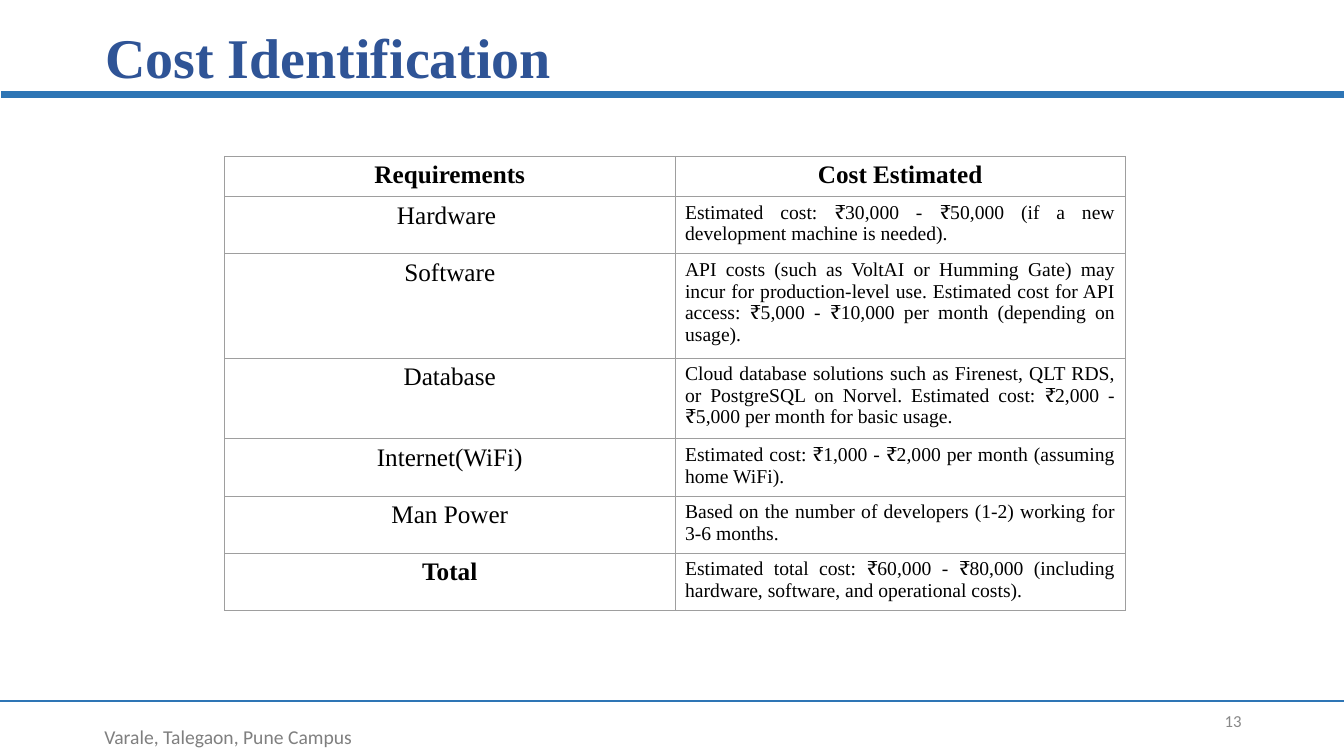
from lxml.etree import SubElement
from pptx import Presentation
from pptx.dml.color import RGBColor
from pptx.enum.shapes import MSO_CONNECTOR
from pptx.enum.text import MSO_ANCHOR, PP_ALIGN
from pptx.oxml.ns import qn
from pptx.util import Cm, Pt

TITLE_BLUE = RGBColor(0x2F, 0x54, 0x96)
RULE_BLUE = RGBColor(0x2E, 0x75, 0xB5)
FOOTER_GREY = RGBColor(0x7F, 0x7F, 0x7F)
NUMBER_GREY = RGBColor(0x88, 0x88, 0x88)
BORDER_GREY = RGBColor(0x9E, 0x9E, 0x9E)
BLACK = RGBColor(0, 0, 0)

SLIDE_WIDTH, SLIDE_HEIGHT = 33.87, 19.05
SERIF, SANS = "Times New Roman", "Calibri"

COSTS = [
    ("Requirements", "Cost Estimated"),
    ("Hardware ", "Estimated cost: ₹30,000 - ₹50,000 (if a new development machine is needed)."),
    ("Software", "API costs (such as VoltAI or Humming Gate) may incur for production-level use. "
                 "Estimated cost for API access: ₹5,000 - ₹10,000 per month (depending on usage)."),
    ("Database", "Cloud database solutions such as Firenest, QLT RDS, or PostgreSQL on Norvel. "
                 "Estimated cost: ₹2,000 - ₹5,000 per month for basic usage."),
    ("Internet(WiFi)", "Estimated cost: ₹1,000 - ₹2,000 per month (assuming home WiFi)."),
    ("Man Power", "Based on the number of developers (1-2) working for 3-6 months."),
    ("Total", "Estimated total cost: ₹60,000 - ₹80,000 "
              "(including hardware, software, and operational costs)."),
]


def write(text_frame, text, size, color=BLACK, font=SERIF, bold=False,
          align=PP_ALIGN.LEFT, line_spacing=None):
    paragraph = text_frame.paragraphs[0]
    paragraph.alignment = align
    paragraph.line_spacing = line_spacing
    run = paragraph.add_run()
    run.text = text
    run.font.size = Pt(size)
    run.font.name = font
    run.font.bold = bold
    run.font.color.rgb = color
    SubElement(paragraph._p, qn("a:endParaRPr"), sz=str(size * 100))


def draw_borders(cell, color, width):
    properties = cell._tc.get_or_add_tcPr()
    for side in ("lnL", "lnR", "lnT", "lnB"):
        line = SubElement(properties, qn(f"a:{side}"), w=str(Pt(width)))
        fill = SubElement(line, qn("a:solidFill"))
        SubElement(fill, qn("a:srgbClr"), val=str(color))


class CostSlide:
    """Holds the slide and draws its elements; lengths are in centimetres."""

    def __init__(self, presentation):
        self.slide = presentation.slides.add_slide(presentation.slide_layouts[5])

    def rule(self, left, top, width):
        line = self.slide.shapes.add_connector(
            MSO_CONNECTOR.STRAIGHT, Cm(left), Cm(top), Cm(SLIDE_WIDTH), Cm(top))
        line.line.color.rgb = RULE_BLUE
        line.line.width = Pt(width)
        SubElement(line._element.spPr, qn("a:effectLst"))

    def title(self, text, left, top, width, height):
        title = self.slide.shapes.title
        title.left, title.top = Cm(left), Cm(top)
        title.width, title.height = Cm(width), Cm(height)
        title.text_frame.vertical_anchor = MSO_ANCHOR.MIDDLE
        write(title.text_frame, text, 40, TITLE_BLUE, bold=True, line_spacing=0.9)

    def label(self, text, left, top, width, height, anchor=MSO_ANCHOR.TOP, **text_format):
        box = self.slide.shapes.add_textbox(Cm(left), Cm(top), Cm(width), Cm(height))
        box.text_frame.word_wrap = True
        box.text_frame.vertical_anchor = anchor
        write(box.text_frame, text, font=SANS, **text_format)

    def table(self, rows, left, top, column_width, row_height):
        columns = len(rows[0])
        table = self.slide.shapes.add_table(
            len(rows), columns, Cm(left), Cm(top),
            Cm(column_width * columns), Cm(row_height * len(rows))).table
        table.first_row = table.horz_banding = False
        for row_index, row in enumerate(rows):
            for column_index, text in enumerate(row):
                cell = table.cell(row_index, column_index)
                draw_borders(cell, BORDER_GREY, 0.75)
                cell.fill.background()
                is_header = row_index == 0
                is_detail = column_index == 1 and not is_header
                write(cell.text_frame, text, 14 if is_detail else 18,
                      bold=is_header or text == "Total",
                      align=PP_ALIGN.JUSTIFY if is_detail else PP_ALIGN.CENTER)


def main():
    presentation = Presentation()
    presentation.slide_width = Cm(SLIDE_WIDTH)
    presentation.slide_height = Cm(SLIDE_HEIGHT)

    page = CostSlide(presentation)
    page.rule(0, 17.66, 1.25)
    page.rule(0.03, 2.38, 4.75)
    page.title("Cost Identification", 2.4, -0.32, 29.21, 3.68)
    page.label("Varale, Talegaon, Pune Campus ", 1.9, 18.14, 7.82, 0.86,
               size=14, color=FOOTER_GREY, align=PP_ALIGN.CENTER)
    page.label("13", 23.92, 17.66, 7.62, 1.01, anchor=MSO_ANCHOR.MIDDLE,
               size=12, color=NUMBER_GREY, align=PP_ALIGN.RIGHT)
    page.table(COSTS, left=5.66, top=3.94, column_width=11.35, row_height=1.01)
    presentation.save("out.pptx")


if __name__ == "__main__":
    main()
